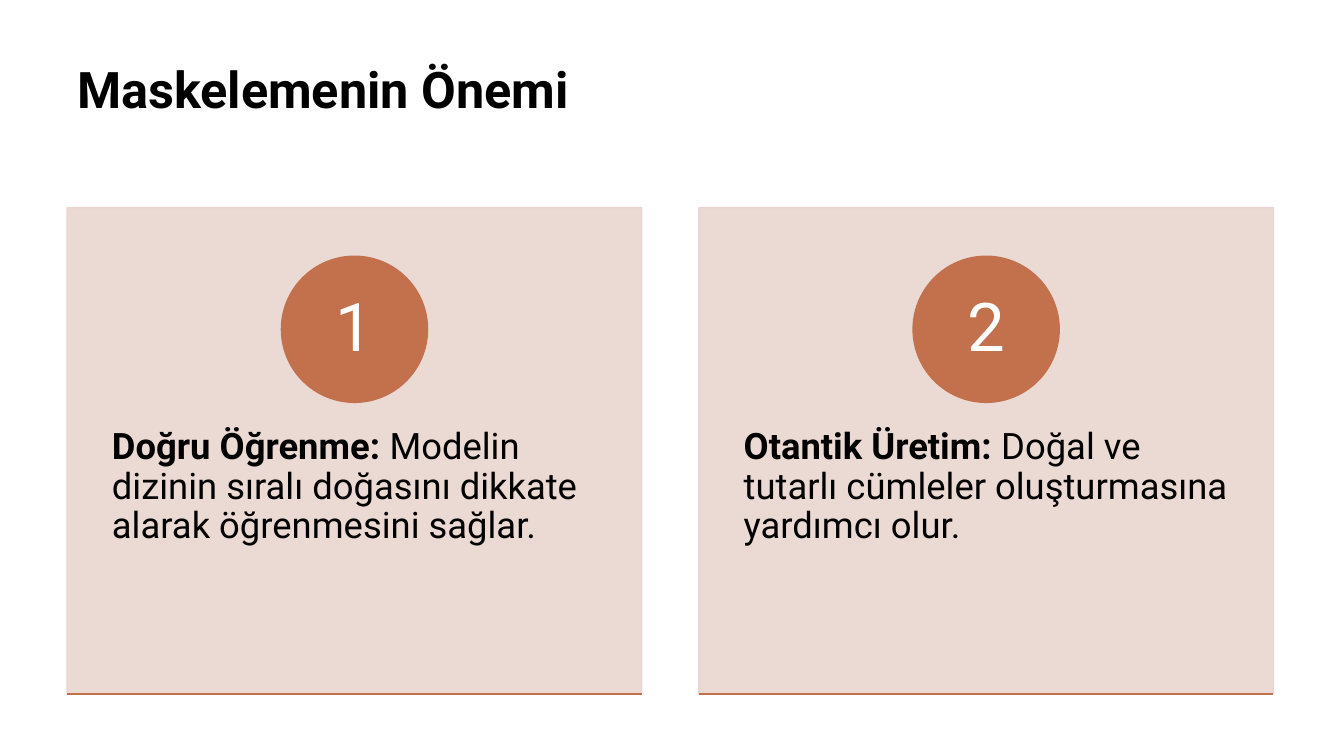
from lxml import etree
from pptx import Presentation
from pptx.dml.color import RGBColor
from pptx.enum.shapes import MSO_CONNECTOR, MSO_SHAPE
from pptx.enum.text import MSO_ANCHOR, PP_ALIGN
from pptx.oxml.ns import qn
from pptx.util import Pt

RECT, OVAL = MSO_SHAPE.RECTANGLE, MSO_SHAPE.OVAL
STRAIGHT = MSO_CONNECTOR.STRAIGHT
TOP, MIDDLE = MSO_ANCHOR.TOP, MSO_ANCHOR.MIDDLE
LEFT, CENTER = PP_ALIGN.LEFT, PP_ALIGN.CENTER

FONT = "Roboto"
BLACK, WHITE, CLAY, BLUSH = "000000", "FFFFFF", "C3714D", "E9D5D0"
MARGIN, CARD_TOP, CARD_W, CARD_H, CARD_PITCH = 48, 148.3, 410.4, 347.4, 451.2
CIRCLE_TOP, CIRCLE_D = 183, 104.4
BODY_TOP, BODY_H = 280, 208.8
CARDS = [
    ("Doğru Öğrenme:", " Modelin dizinin sıralı doğasını dikkate alarak öğrenmesini sağlar."),
    ("Otantik Üretim:", " Doğal ve tutarlı cümleler oluşturmasına yardımcı olur."),
]


def rgb(color):
    return RGBColor.from_string(color)


def set_all(obj, values):
    for name, value in values.items():
        setattr(obj, name, value)


def write(sp, runs, size, color, anchor=TOP, align=LEFT, inset=(7.2, 3.6)):
    tf = sp.text_frame
    dx, dy = map(Pt, inset)
    set_all(tf, {"word_wrap": True, "vertical_anchor": anchor,
                 "margin_left": dx, "margin_right": dx,
                 "margin_top": dy, "margin_bottom": dy})
    p = tf.paragraphs[0]
    set_all(p, {"alignment": align, "line_spacing": 0.9})
    for text, bold in runs:
        r = p.add_run()
        r.text = text
        set_all(r.font, {"name": FONT, "size": Pt(size), "bold": bold})
        r.font.color.rgb = rgb(color)


def add_text(s, box, runs, size, **layout):
    write(s.shapes.add_textbox(*map(Pt, box)), runs, size, BLACK, **layout)


def add_shape(s, kind, box, color, opacity=100):
    sp = s.shapes.add_shape(kind, *map(Pt, box))
    sp.shadow.inherit = False
    sp.fill.solid()
    sp.fill.fore_color.rgb = rgb(color)
    sp.line.color.rgb = rgb(color)
    sp.line.width = Pt(1)
    if opacity < 100:
        for clr in sp._element.spPr.iter(qn("a:srgbClr")):
            etree.SubElement(clr, qn("a:alpha"), val=str(opacity * 1000))
    return sp


def add_rule(s, x, y, width, color):
    line = s.shapes.add_connector(STRAIGHT, Pt(x), Pt(y), Pt(x + width), Pt(y))
    line.line.color.rgb = rgb(color)
    line.line.width = Pt(1)
    etree.SubElement(line._element.spPr, qn("a:effectLst"))


def add_card(s, x, number, heading, body):
    add_shape(s, RECT, (x, CARD_TOP, CARD_W, CARD_H), BLUSH, opacity=90)
    add_text(s, (x, BODY_TOP, CARD_W, BODY_H), [(heading, True), (body, False)], 26,
             inset=(32, 26))
    circle_x = x + (CARD_W - CIRCLE_D) / 2
    circle = add_shape(s, OVAL, (circle_x, CIRCLE_TOP, CIRCLE_D, CIRCLE_D), CLAY)
    write(circle, [(str(number), False)], 48, WHITE, MIDDLE, CENTER, inset=(8, 0.8))
    add_rule(s, x, CARD_TOP + CARD_H, CARD_W, CLAY)


def main():
    prs = Presentation()
    set_all(prs, {"slide_width": Pt(960), "slide_height": Pt(540)})
    s = prs.slides.add_slide(prs.slide_layouts[6])
    add_text(s, (MARGIN, 43.2, 862, 89), [("Maskelemenin Önemi", True)], 36)
    for i, (heading, body) in enumerate(CARDS):
        add_card(s, MARGIN + i * CARD_PITCH, i + 1, heading, body)
    prs.save("out.pptx")


if __name__ == "__main__":
    main()
